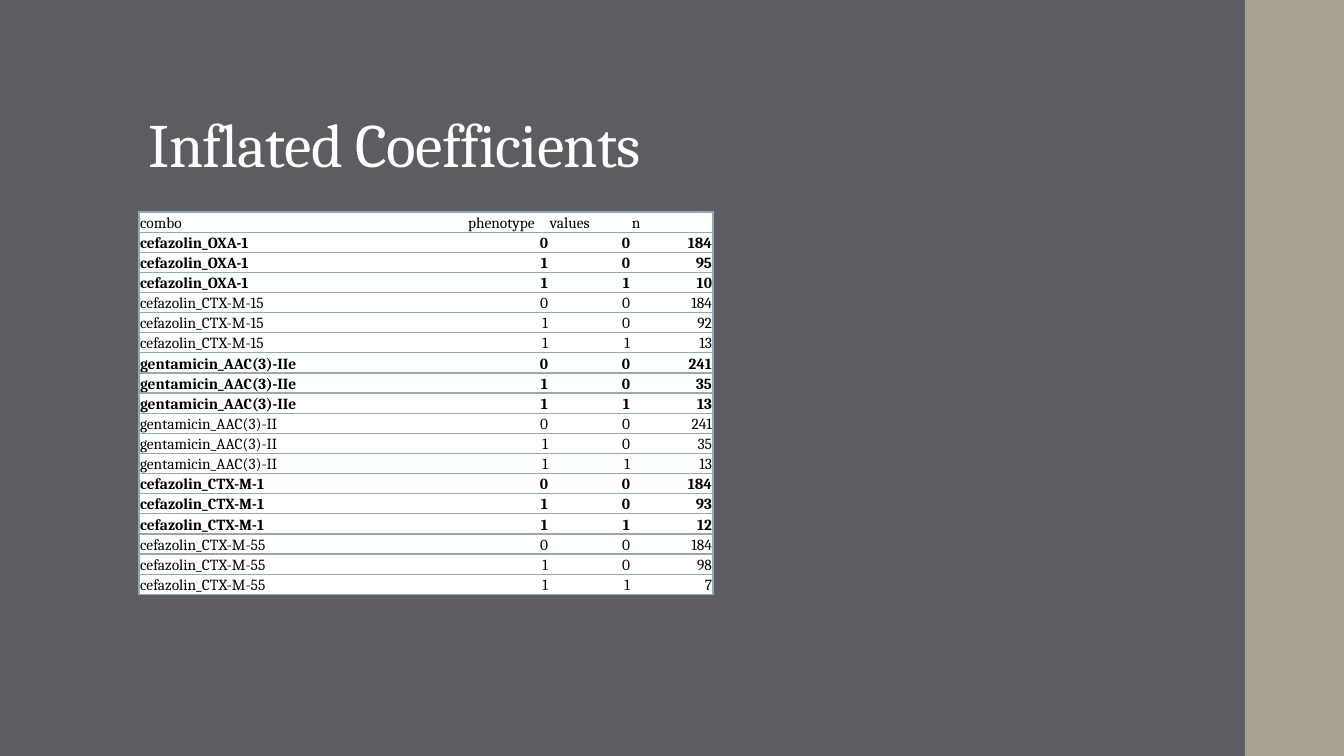
from lxml.etree import SubElement as Sub
from pptx import Presentation
from pptx.dml.color import RGBColor as RGB
from pptx.enum.shapes import MSO_SHAPE as Shape
from pptx.enum.text import MSO_ANCHOR as Anchor, PP_ALIGN as Align
from pptx.oxml.ns import qn
from pptx.util import Pt

WIDE, HIGH = 1344, 756
FONT = "Cambria"
SLATE, SAND, STEEL = "5C5C61", "A7A192", "92A9B9"
WHITE, BLACK = "FFFFFF", "000000"
HEAD = ["combo", "phenotype", "values", "n"]
PAIRS = [(0, 0), (1, 0), (1, 1)]
COUNTS = {
    "cefazolin_OXA-1": (184, 95, 10),
    "cefazolin_CTX-M-15": (184, 92, 13),
    "gentamicin_AAC(3)-IIe": (241, 35, 13),
    "gentamicin_AAC(3)-II": (241, 35, 13),
    "cefazolin_CTX-M-1": (184, 93, 12),
    "cefazolin_CTX-M-55": (184, 98, 7),
}
COLS = [328, 82, 82, 82]


def px(num):
    """Turn pixels into EMU."""
    return round(num * 914400 / 100.8)


def paint(fill, tint):
    """Give a fill one solid colour."""
    fill.solid()
    fill.fore_color.rgb = RGB.from_string(tint)


def write(frame, text, size=11, tint=BLACK, bold=False, align=Align.LEFT,
          lead=None, space=None):
    """Write one formatted line at the bottom of a text frame."""
    frame.vertical_anchor = Anchor.BOTTOM
    para = frame.paragraphs[0]
    para.alignment = align
    if lead:
        para.line_spacing = lead
    run = para.add_run()
    run.text = text
    font = run.font
    font.name, font.size, font.bold = FONT, Pt(size), bold
    font.color.rgb = RGB.from_string(tint)
    if space:
        run._r.get_or_add_rPr().set("spc", str(round(space * 100)))


def edge(cell, side, tint=None):
    """Draw one cell border, or clear it when no colour is given."""
    line = Sub(cell._tc.get_or_add_tcPr(), qn(f"a:ln{side}"), w=str(Pt(1)))
    if tint:
        Sub(Sub(line, qn("a:solidFill")), qn("a:srgbClr"), val=tint)
    else:
        Sub(line, qn("a:noFill"))


def band(slide, left, top, wide, high):
    """Place the side band."""
    bar = slide.shapes.add_shape(Shape.RECTANGLE, *map(px, (left, top, wide, high)))
    bar.shadow.inherit = False
    paint(bar.fill, SAND)
    bar.line.fill.background()


def title(slide, left, top, wide, high):
    """Place the slide title."""
    frame = slide.shapes.add_textbox(*map(px, (left, top, wide, high))).text_frame
    frame.word_wrap = True
    write(frame, "Inflated Coefficients", size=44, tint=WHITE, lead=0.9, space=-0.5)


def fill_cell(cell, text, first, last, **form):
    """Format and fill one table cell."""
    cell.margin_left = cell.margin_right = cell.margin_top = px(1)
    cell.margin_bottom = 0
    edge(cell, "L", STEEL if first else None)
    edge(cell, "R", STEEL if last else None)
    edge(cell, "T", STEEL)
    edge(cell, "B", STEEL)
    paint(cell.fill, WHITE)
    write(cell.text_frame, text, **form)
    cell.vertical_anchor = Anchor.BOTTOM


def grid(slide, left, top, high):
    """Place the table of counts, with every other combo in bold."""
    rows = [(HEAD, False)]
    for num, (combo, counts) in enumerate(COUNTS.items()):
        for pair, count in zip(PAIRS, counts):
            rows.append(([combo, *pair, count], num % 2 == 0))
    box = map(px, (left, top, sum(COLS), high))
    table = slide.shapes.add_table(len(rows), len(COLS), *box).table
    table.first_row = table.horz_banding = False
    for col, wide in zip(table.columns, COLS):
        col.width = px(wide)
    for y, (vals, bold) in enumerate(rows):
        table.rows[y].height = px(high / len(rows))
        for x, val in enumerate(vals):
            align = Align.RIGHT if x and y else Align.LEFT
            fill_cell(table.cell(y, x), str(val), x == 0, x == len(COLS) - 1,
                      bold=bold, align=align)


def main():
    """Build the slide and save it."""
    deck = Presentation()
    deck.slide_width, deck.slide_height = px(WIDE), px(HIGH)
    slide = deck.slides.add_slide(deck.slide_layouts[6])
    paint(slide.background.fill, SLATE)
    band(slide, 1245, 0, WIDE - 1245, HIGH)
    title(slide, 139, 40, 1068, 146)
    grid(slide, 139, 212, 383)
    deck.save("out.pptx")


if __name__ == "__main__":
    main()
